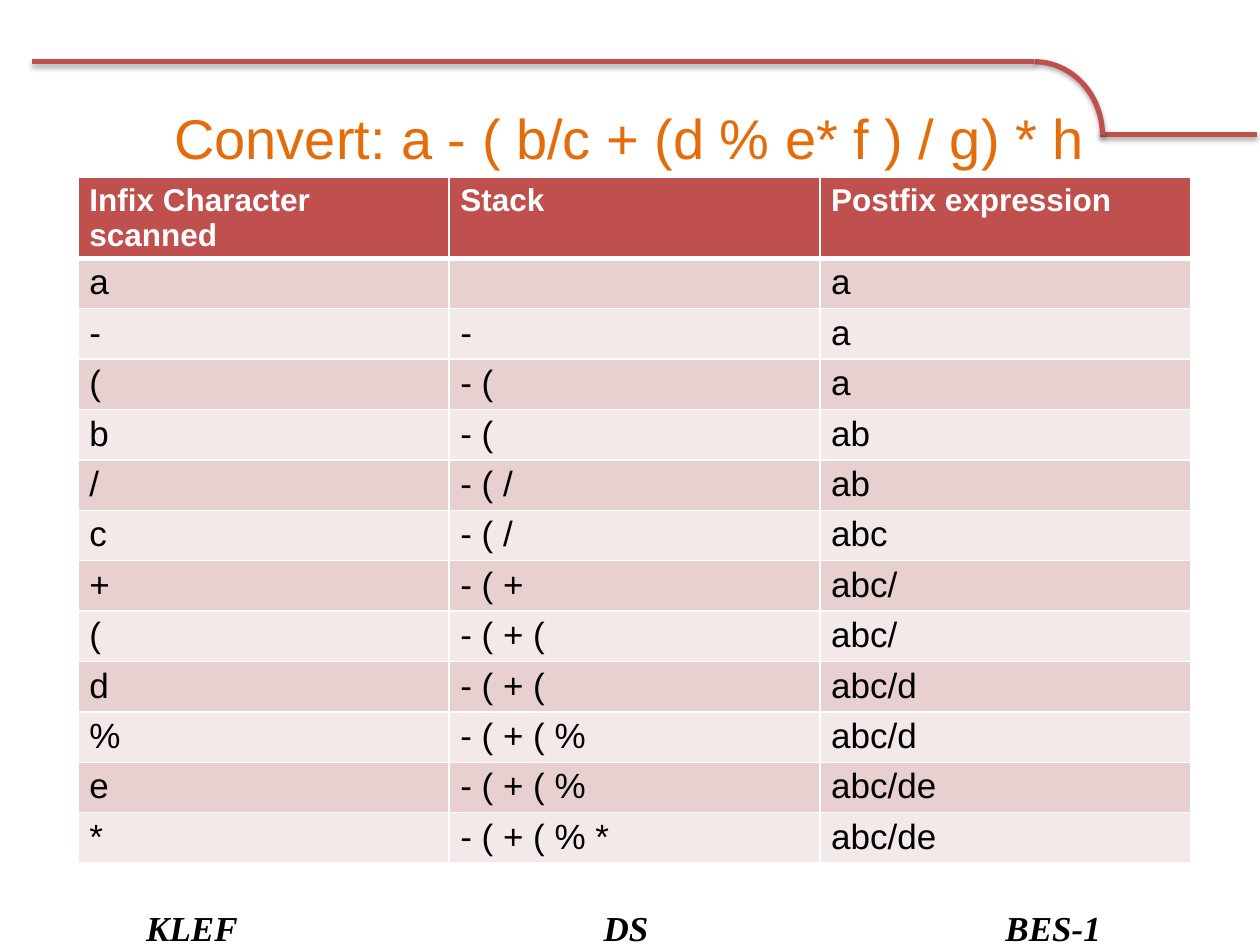
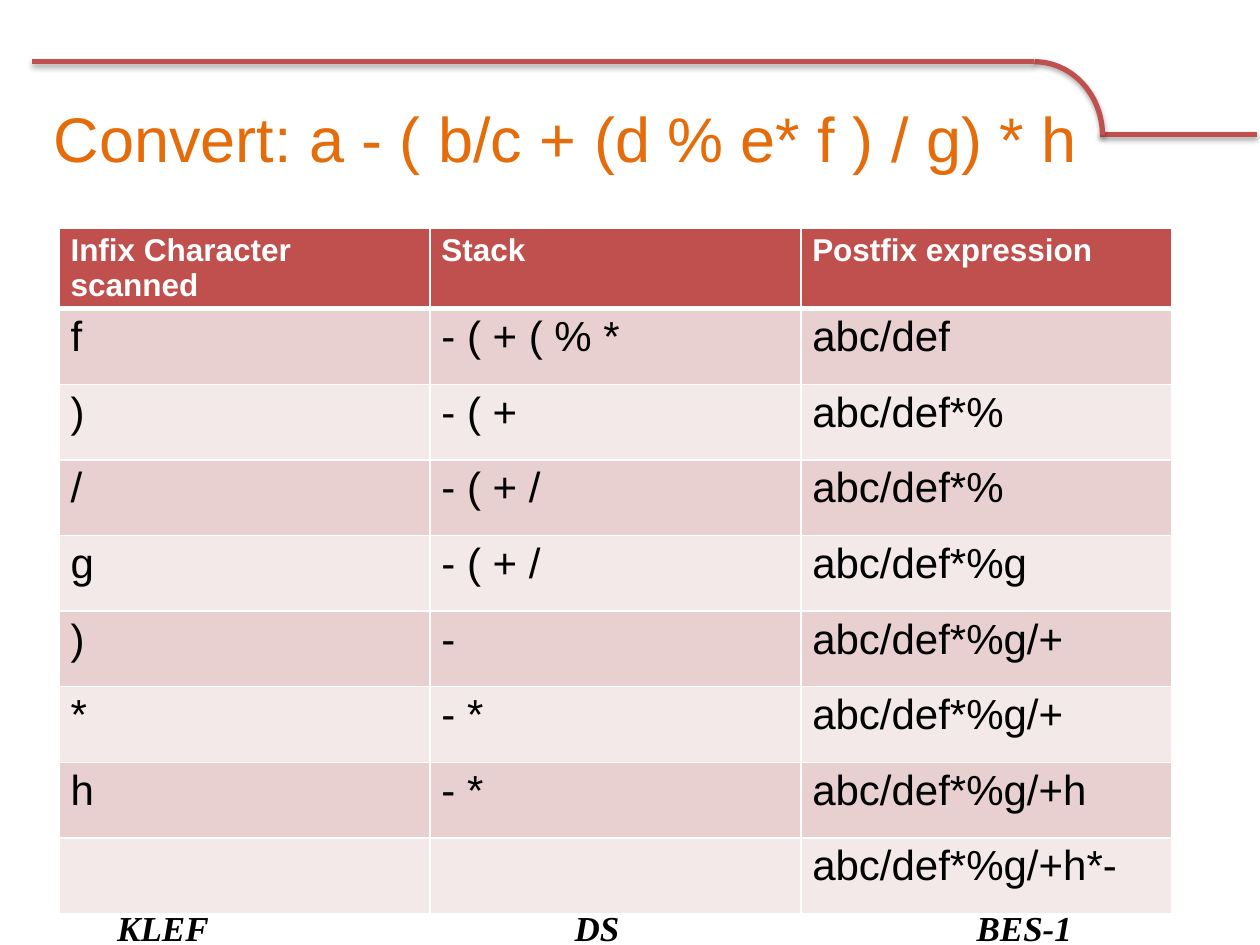
from lxml import etree
from pptx import Presentation
from pptx.dml.color import RGBColor
from pptx.enum.shapes import MSO_CONNECTOR as CONNECTOR, MSO_SHAPE as SHAPE
from pptx.enum.text import MSO_ANCHOR as ANCHOR, PP_ALIGN as ALIGN
from pptx.oxml import parse_xml
from pptx.util import Inches, Pt

NS = "http://schemas.openxmlformats.org/drawingml/2006/main"
COLORS = {
    "accent": "C0504D",
    "title": "E46C0A",
    "band_dark": "E8D0D0",
    "band_light": "F4E9E9",
    "white": "FFFFFF",
    "black": "000000",
}
TITLE = "Convert: a - ( b/c + (d % e* f ) / g) * h"
HEADINGS = ("Infix Character scanned", "Stack", "Postfix expression")
FOOTER = "KLEF\tDS\tBES-1"
FOOTER_STOPS = (3.63, 6.82)
SHADOW = (
    f'<a:effectLst xmlns:a="{NS}">'
    '<a:outerShdw blurRad="39370" dist="22860" dir="5400000" rotWithShape="0">'
    f'<a:srgbClr val="{COLORS["black"]}"><a:alpha val="35000"/></a:srgbClr>'
    "</a:outerShdw></a:effectLst>"
)

SLIDES = [
    {
        "title_box": (0, 0.62, 10, 0.94),
        "title_size": 32,
        "table_at": (0.62, 1.41),
        "row_heights": (0.61, 0.4),
        "body_size": 20,
        "footer_left": 0.62,
        "steps": [
            ("a", "", "a"),
            ("-", "-", "a"),
            ("(", "- (", "a"),
            ("b", "- (", "ab"),
            ("/", "- ( /", "ab"),
            ("c", "- ( /", "abc"),
            ("+", "- ( +", "abc/"),
            ("(", "- ( + (", "abc/"),
            ("d", "- ( + (", "abc/d"),
            ("%", "- ( + ( %", "abc/d"),
            ("e", "- ( + ( %", "abc/de"),
            ("*", "- ( + ( % *", "abc/de"),
        ],
    },
    {
        "title_box": (0.23, 0.62, 8.52, 0.94),
        "title_size": 36,
        "table_at": (0.47, 1.81),
        "row_heights": (0.64, 0.6),
        "body_size": 24,
        "footer_left": 0.39,
        "steps": [
            ("f", "- ( + ( % *", "abc/def"),
            (")", "- ( +", "abc/def*%"),
            ("/", "- ( + /", "abc/def*%"),
            ("g", "- ( + /", "abc/def*%g"),
            (")", "-", "abc/def*%g/+"),
            ("*", "- *", "abc/def*%g/+"),
            ("h", "- *", "abc/def*%g/+h"),
            ("", "", "abc/def*%g/+h*-"),
        ],
    },
]


def style_font(paragraph, size, color, name="Arial", bold=False, italic=False):
    for run in paragraph.runs:
        font = run.font
        font.name, font.size = name, Pt(size)
        font.bold, font.italic = bold, italic
        font.color.rgb = RGBColor.from_string(COLORS[color])


def add_borders(cell, row_index):
    """Draw white cell edges, thicker between the heading and the first step."""
    widths = {"L": 1, "R": 1, "T": 3 if row_index == 1 else 1, "B": 3 if row_index == 0 else 1}
    properties = cell._tc.get_or_add_tcPr()
    for position, (side, width) in enumerate(widths.items()):
        properties.insert(position, parse_xml(
            f'<a:ln{side} xmlns:a="{NS}" w="{Pt(width)}"><a:solidFill>'
            f'<a:srgbClr val="{COLORS["white"]}"/></a:solidFill></a:ln{side}>'
        ))


deck = Presentation()
deck.slide_width, deck.slide_height = Inches(10), Inches(7.5)
title_only = deck.slide_layouts[5]

for content in SLIDES:
    slide = deck.slides.add_slide(title_only)
    shapes = slide.shapes

    # Header rule: right line, quarter arc, left line
    right_rule = shapes.add_connector(
        CONNECTOR.STRAIGHT, Inches(8.73), Inches(1.07), Inches(9.98), Inches(1.07))
    bend = shapes.add_shape(SHAPE.ARC, Inches(7.67), Inches(0.49), Inches(1.08), Inches(1.17))
    bend.fill.background()
    left_rule = shapes.add_connector(
        CONNECTOR.STRAIGHT, Inches(8.21), Inches(0.49), Inches(0.25), Inches(0.49))
    for part in (right_rule, bend, left_rule):
        part.line.color.rgb = RGBColor.from_string(COLORS["accent"])
        part.line.width = Pt(3)
        part.element.spPr.append(parse_xml(SHADOW))

    # Title
    title = shapes.title
    title.left, title.top, title.width, title.height = map(Inches, content["title_box"])
    title.text_frame.text = TITLE
    title.text_frame.vertical_anchor = ANCHOR.MIDDLE
    title.text_frame.paragraphs[0].alignment = ALIGN.CENTER
    style_font(title.text_frame.paragraphs[0], content["title_size"], "title")

    # Conversion steps
    rows = [HEADINGS, *content["steps"]]
    heading_height, step_height = content["row_heights"]
    left, top = content["table_at"]
    table = shapes.add_table(
        len(rows), len(HEADINGS), Inches(left), Inches(top), Inches(8.83),
        Inches(heading_height + step_height * len(content["steps"]))).table
    for row_index, row in enumerate(rows):
        is_heading = row_index == 0
        table.rows[row_index].height = Inches(heading_height if is_heading else step_height)
        band = "accent" if is_heading else ("band_light", "band_dark")[row_index % 2]
        for column_index, value in enumerate(row):
            cell = table.cell(row_index, column_index)
            cell.margin_left = cell.margin_right = Inches(0.09)
            cell.margin_top = cell.margin_bottom = Inches(0.04)
            cell.fill.solid()
            cell.fill.fore_color.rgb = RGBColor.from_string(COLORS[band])
            add_borders(cell, row_index)
            cell.text_frame.text = value
            style_font(
                cell.text_frame.paragraphs[0],
                18 if is_heading else content["body_size"],
                "white" if is_heading else "black",
                bold=is_heading)

    # Footer, spread by tab stops
    footer = shapes.add_textbox(
        Inches(content["footer_left"]), Inches(7.2), Inches(8.67), Inches(0.32)).text_frame
    footer.word_wrap = True
    footer.vertical_anchor = ANCHOR.MIDDLE
    footer.margin_left = Inches(0.54)
    footer.margin_right = footer.margin_top = footer.margin_bottom = 0
    footer.text = FOOTER
    footer_line = footer.paragraphs[0]
    footer_line.alignment = ALIGN.LEFT
    tab_list = etree.SubElement(footer_line._p.get_or_add_pPr(), f"{{{NS}}}tabLst")
    for stop in FOOTER_STOPS:
        etree.SubElement(tab_list, f"{{{NS}}}tab", pos=str(Inches(stop)), algn="l")
    style_font(footer_line, 20, "black", "Times New Roman", bold=True, italic=True)

deck.save("out.pptx")
